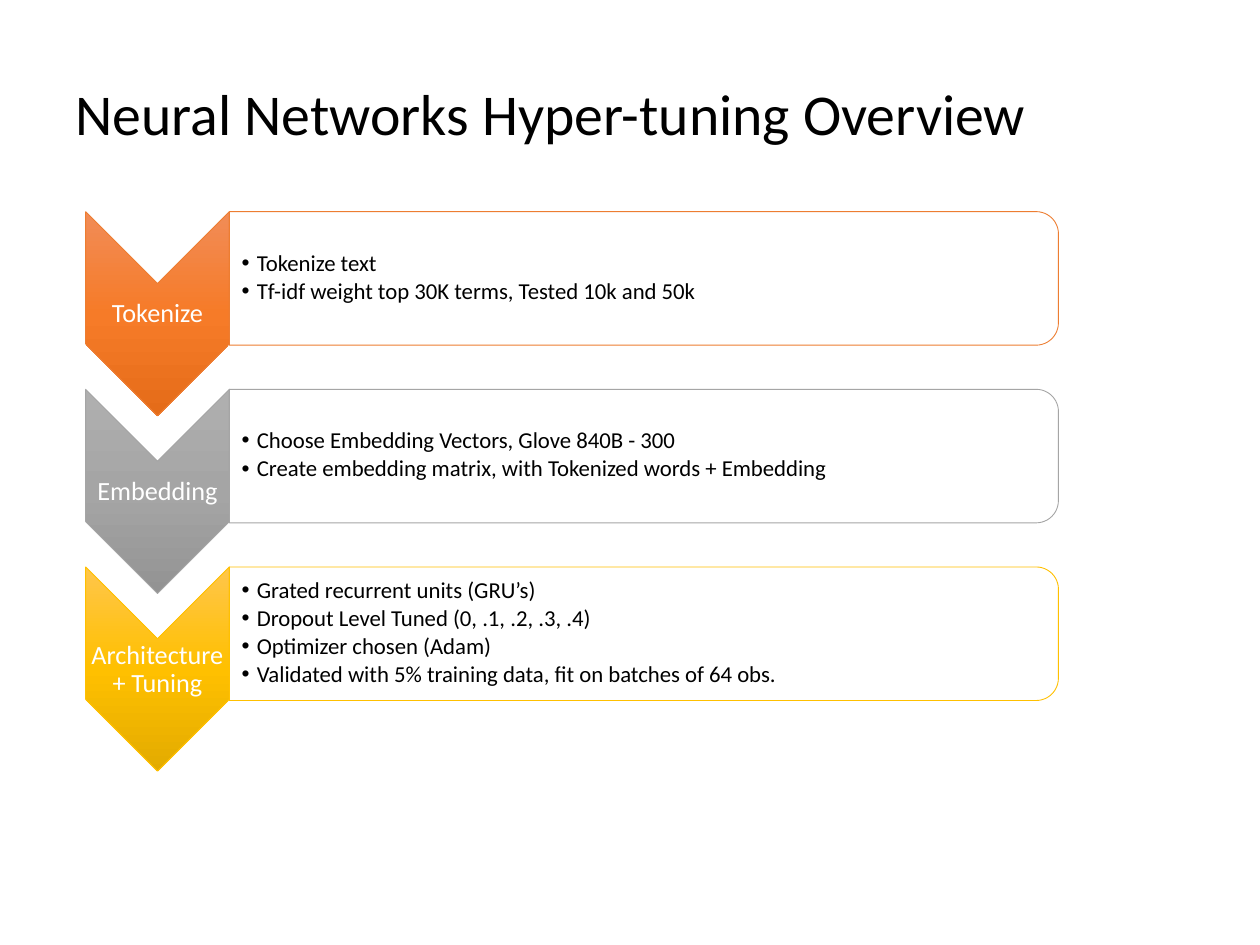
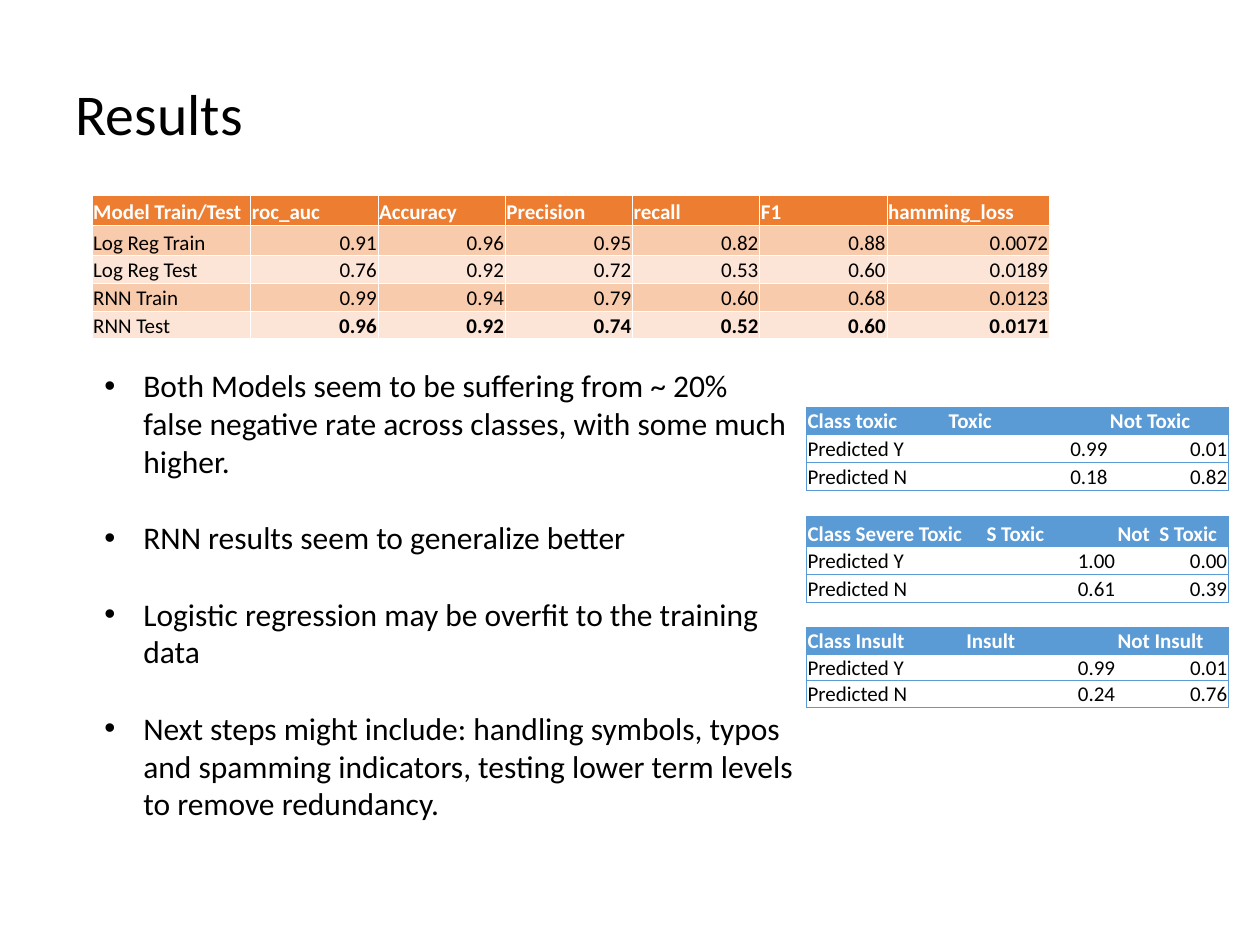
import dataclasses

import lxml.etree
import pptx
import pptx.dml.color
import pptx.enum.shapes
import pptx.enum.text
import pptx.oxml
import pptx.oxml.ns
import pptx.util

PX = 9144  # EMU in one px, at 100 px to the inch
SHAPES = pptx.enum.shapes.MSO_SHAPE
ALIGN = pptx.enum.text.PP_ALIGN
MIDDLE = pptx.enum.text.MSO_ANCHOR.MIDDLE
BOTTOM = pptx.enum.text.MSO_ANCHOR.BOTTOM
rgb = pptx.dml.color.RGBColor.from_string
qn = pptx.oxml.ns.qn


@dataclasses.dataclass(frozen=True)
class Theme:
    font: str = "Calibri"
    black: str = "000000"
    white: str = "FFFFFF"
    orange: str = "ED7D31"
    orange_mid: str = "F8CBAD"
    orange_pale: str = "FCE4D6"
    gray: str = "A5A5A5"
    gold: str = "FFC000"
    blue: str = "5B9BD5"
    orange_gradient: tuple = ("F18C57", "F67B28", "E56C19")
    gray_gradient: tuple = ("AFAFAF", "A5A5A5", "939393")
    gold_gradient: tuple = ("FFC64B", "FFC000", "E3AB00")
    title_size: int = 33
    body_size: int = 18
    label_size: int = 15
    detail_size: int = 13
    table_size: int = 12
    line_width: float = 0.5


theme = Theme()


def format_text(frame, size, color, align=ALIGN.LEFT, bold=False, anchor=None,
                insets=None, spacing=1.0, after=0, indent=0):
    """Format every paragraph; a positive indent adds a hanging bullet."""
    frame.word_wrap = True
    if anchor is not None:
        frame.vertical_anchor = anchor
    if insets:
        frame.margin_left, frame.margin_top, frame.margin_right, frame.margin_bottom = (
            inset * PX for inset in insets)
    for paragraph in frame.paragraphs:
        paragraph.alignment = align
        paragraph.line_spacing = spacing
        paragraph.space_before = pptx.util.Pt(0)
        paragraph.space_after = pptx.util.Pt(after)
        if indent:
            properties = paragraph._p.get_or_add_pPr()
            properties.set("marL", str(indent * PX))
            properties.set("indent", str(-indent * PX))
            lxml.etree.SubElement(properties, qn("a:buFont")).set("typeface", "Arial")
            lxml.etree.SubElement(properties, qn("a:buChar")).set("char", "•")
        for run in paragraph.runs:
            run.font.name = theme.font
            run.font.size = pptx.util.Pt(size)
            run.font.bold = bold
            run.font.color.rgb = rgb(color)


def add_grid(slide, left, top, widths, heights, rows, header_fill, body_fills,
             border, inner_columns, bold_row=None):
    """Add a table; body_fills alternate by row and None leaves a cell clear."""
    table = slide.shapes.add_table(
        len(rows), len(widths), left * PX, top * PX,
        sum(widths) * PX, sum(heights) * PX).table
    for column, width in zip(table.columns, widths):
        column.width = width * PX
    for row, height in zip(table.rows, heights):
        row.height = height * PX
    for r, values in enumerate(rows):
        fill = body_fills[(r - 1) % len(body_fills)] if r else header_fill
        for c, value in enumerate(values):
            cell = table.cell(r, c)
            cell.text_frame.text = value
            is_number = r > 0 and c > 0
            format_text(cell.text_frame, theme.table_size,
                        theme.black if r else theme.white,
                        align=ALIGN.RIGHT if is_number else ALIGN.LEFT,
                        bold=r == 0 or (is_number and r == bold_row))
            cell.vertical_anchor = BOTTOM
            cell.margin_left = cell.margin_top = cell.margin_right = PX
            cell.margin_bottom = 0
            if fill:
                cell.fill.solid()
                cell.fill.fore_color.rgb = rgb(fill)
            else:
                cell.fill.background()
            visible = {"lnL": inner_columns or c == 0,
                       "lnR": inner_columns or c == len(widths) - 1,
                       "lnT": True, "lnB": True}
            for position, (side, shown) in enumerate(visible.items()):
                line = lxml.etree.Element(qn("a:" + side))
                line.set("w", str(pptx.util.Pt(theme.line_width)))
                if shown:
                    paint = lxml.etree.SubElement(line, qn("a:solidFill"))
                    lxml.etree.SubElement(paint, qn("a:srgbClr")).set("val", border)
                else:
                    lxml.etree.SubElement(line, qn("a:noFill"))
                cell._tc.get_or_add_tcPr().insert(position, line)


presentation = pptx.Presentation()
presentation.slide_width = 1000 * PX
presentation.slide_height = 750 * PX

slides = []
for heading in ("Neural Networks Hyper-tuning Overview", "Results"):
    slide = presentation.slides.add_slide(presentation.slide_layouts[5])
    title = slide.shapes.title
    title.left, title.top, title.width, title.height = (
        length * PX for length in (50, 30, 900, 125))
    title.text_frame.text = heading
    title.text_frame.auto_size = pptx.enum.text.MSO_AUTO_SIZE.NONE
    format_text(title.text_frame, theme.title_size, theme.black,
                anchor=MIDDLE, spacing=0.9)
    slides.append(slide)
overview, results = slides

# Overview: one chevron and one panel for each step
steps = [
    ("Tokenize", theme.orange, theme.orange_gradient,
     ["Tokenize text", "Tf-idf weight top 30K terms, Tested 10k and 50k"]),
    ("Embedding", theme.gray, theme.gray_gradient,
     ["Choose Embedding Vectors, Glove 840B - 300",
      "Create embedding matrix, with Tokenized words + Embedding"]),
    ("Architecture + Tuning", theme.gold, theme.gold_gradient,
     ["Grated recurrent units (GRU’s)", "Dropout Level Tuned (0, .1, .2, .3, .4)",
      "Optimizer chosen (Adam)",
      "Validated with 5% training data, fit on batches of 64 obs."]),
]
for index, (name, accent, gradient, details) in enumerate(steps):
    top = 173 + 141 * index
    chevron = overview.shapes.add_shape(
        SHAPES.CHEVRON, 44 * PX, (top + 19) * PX, 162 * PX, 114 * PX)
    panel = overview.shapes.add_shape(
        SHAPES.ROUND_2_SAME_RECTANGLE, 458 * PX, (top - 281) * PX, 106 * PX, 658 * PX)
    for shape in (chevron, panel):
        shape.rotation = 90
        shape.shadow.inherit = False
        shape.line.color.rgb = rgb(accent)
        shape.line.width = pptx.util.Pt(theme.line_width)
    panel.fill.solid()
    panel.fill.fore_color.rgb = rgb(theme.white)

    chevron.fill.gradient()
    gradient_fill = chevron._element.spPr.find(qn("a:gradFill"))
    gradient_fill.set("rotWithShape", "0")
    chevron.fill.gradient_angle = 270  # counter-clockwise: top to bottom
    stops = gradient_fill.find(qn("a:gsLst"))
    for stop in list(stops):
        stops.remove(stop)
    for position, color in zip((0, 50000, 100000), gradient):
        stop = lxml.etree.SubElement(stops, qn("a:gs"))
        stop.set("pos", str(position))
        lxml.etree.SubElement(stop, qn("a:srgbClr")).set("val", color)

    label = overview.shapes.add_textbox(68 * PX, (top + 52) * PX, 114 * PX, 49 * PX)
    label.text_frame.text = name
    format_text(label.text_frame, theme.label_size, theme.white, align=ALIGN.CENTER,
                anchor=MIDDLE, insets=(1, 1, 1, 1), spacing=0.9)
    detail_box = overview.shapes.add_textbox(182 * PX, top * PX, 652 * PX, 95 * PX)
    detail_box.text_frame.text = "\n".join(details)
    format_text(detail_box.text_frame, theme.detail_size, theme.black, anchor=MIDDLE,
                insets=(10, 1, 1, 1), spacing=0.9, after=2, indent=12)

# Results: model scores, findings and one confusion table for each class
scores = [
    ["Model Train/Test", "roc_auc", "Accuracy", "Precision", "recall", "F1", "hamming_loss"],
    ["Log Reg Train", "0.91", "0.96", "0.95", "0.82", "0.88", "0.0072"],
    ["Log Reg Test", "0.76", "0.92", "0.72", "0.53", "0.60", "0.0189"],
    ["RNN Train", "0.99", "0.94", "0.79", "0.60", "0.68", "0.0123"],
    ["RNN Test", "0.96", "0.92", "0.74", "0.52", "0.60", "0.0171"],
]
add_grid(results, 73, 155, [126] + [101] * 5 + [129], [24, 24, 22, 22, 22], scores,
         theme.orange, [theme.orange_mid, theme.orange_pale], theme.white,
         inner_columns=True, bold_row=4)

findings = [
    "Both Models seem to be suffering from ~ 20% false negative rate across classes, "
    "with some much higher.",
    "RNN results seem to generalize better",
    "Logistic regression may be overfit to the training data",
    "Next steps might include: handling symbols, typos and spamming indicators, "
    "testing lower term levels to remove redundancy.",
]
findings_box = results.shapes.add_textbox(73 * PX, 286 * PX, 567 * PX, 464 * PX)
findings_box.text_frame.text = "\n".join(findings)
format_text(findings_box.text_frame, theme.body_size, theme.black, after=22, indent=31)

confusions = [
    (323, [112, 128, 95], [22, 22, 22], ["Class toxic", "Toxic", "Not Toxic"],
     ["0.99", "0.01"], ["0.18", "0.82"]),
    (410, [142, 104, 89], [24, 22, 22], ["Class Severe Toxic", "S Toxic", "Not  S Toxic"],
     ["1.00", "0.00"], ["0.61", "0.39"]),
    (498, [126, 120, 89], [21, 21, 21], ["Class Insult", "Insult", "Not Insult"],
     ["0.99", "0.01"], ["0.24", "0.76"]),
]
for top, widths, heights, header, predicted_yes, predicted_no in confusions:
    rows = [header, ["Predicted Y"] + predicted_yes, ["Predicted N"] + predicted_no]
    add_grid(results, 640, top, widths, heights, rows, theme.blue, [None], theme.blue,
             inner_columns=False)

presentation.save("out.pptx")
